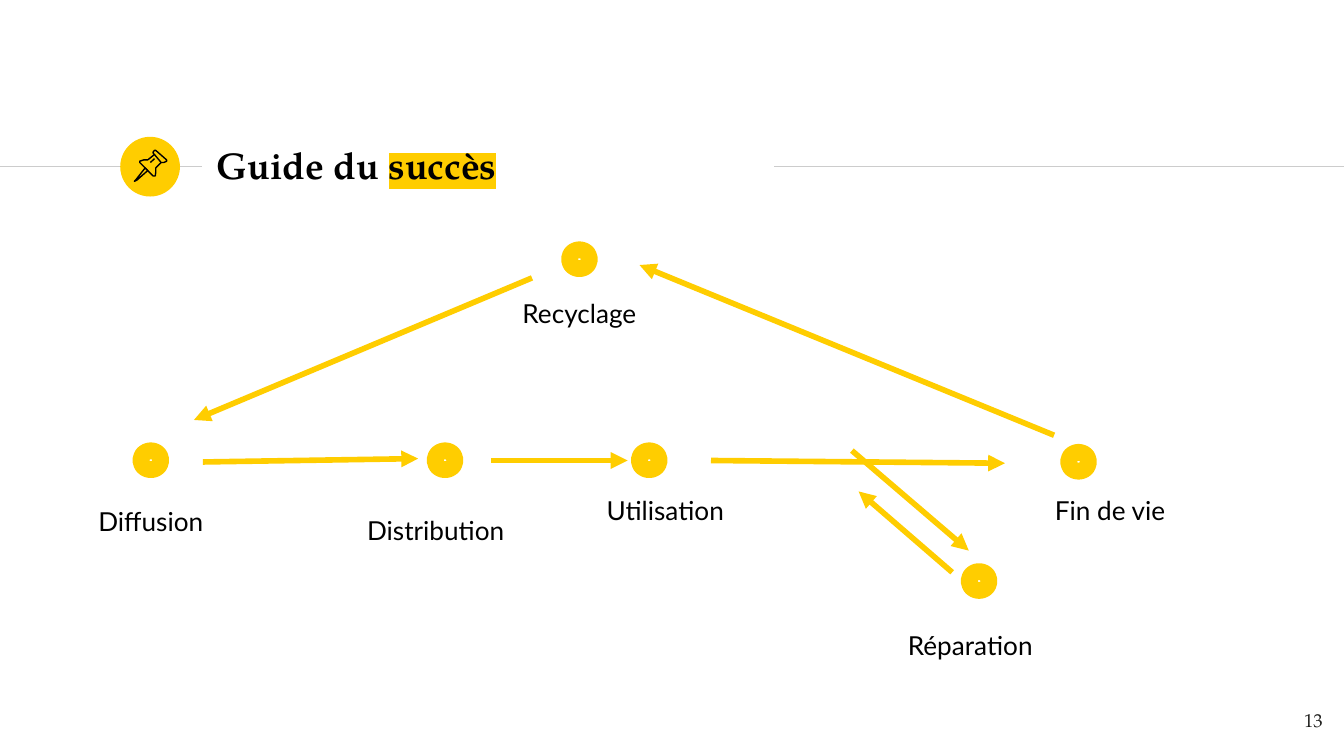
import pptx
import pptx.dml.color
import pptx.enum.shapes
import pptx.enum.text
import pptx.oxml
import pptx.oxml.ns
import pptx.util

Pt = pptx.util.Pt
RGBColor = pptx.dml.color.RGBColor
ALIGN = pptx.enum.text.PP_ALIGN
ANCHOR = pptx.enum.text.MSO_ANCHOR

YELLOW = RGBColor(0xFF, 0xCD, 0x00)
BLACK = RGBColor(0x00, 0x00, 0x00)
INK = RGBColor(0x1D, 0x1D, 0x1B)
GREY = RGBColor(0xCC, 0xCC, 0xCC)
SERIF, SANS = "TeX Gyre Pagella", "Lato"

RING_W, RING_H = 10.8, 10.1
LABEL_W, LABEL_H = 121, 31.7
RULE_Y = 89.3

# step name, ring centre, label centre x, label top
STEPS = [
    ("Diffusion", (80.8, 246.6), 80.8, 263.5),
    ("Distribution", (238.4, 246.6), 233.4, 268.4),
    ("Utilisation", (347.8, 246.6), 356.4, 257.8),
    ("Fin de vie", (577.8, 247.4), 594.7, 257.8),
    ("Réparation", (524.5, 311.3), 519.8, 329.9),
    ("Recyclage", (310.4, 138.9), 310.4, 152),
]
ARROWS = [
    ((108.7, 247.5), (224, 245.7)),    # Diffusion to Distribution
    ((263, 246.7), (336.2, 246.7)),    # Distribution to Utilisation
    ((380.9, 246.7), (538.4, 248.2)),  # Utilisation to Fin de vie
    ((564.7, 233.2), (342.6, 142)),    # Fin de vie to Recyclage
    ((285, 148.9), (103.9, 225)),      # Recyclage to Diffusion
    ((456.4, 241.4), (519, 295)),      # Utilisation to Réparation
    ((510.1, 306.6), (460, 263.3)),    # Réparation to Utilisation
]
RULES = [((0, RULE_Y), (108, RULE_Y)), ((414.7, RULE_Y), (720, RULE_Y))]

# outline points, closed
PIN = [
    ([(77.8, 90), (72.7, 96.5), (72, 97.2), (73.4, 96.5), (79.2, 91.4)], True),
    ([(82.8, 82.8), (86.4, 87.1), (87.8, 87.1), (89.3, 86.4), (89.3, 85.7),
      (83.5, 80.6), (82.8, 80.6), (82.1, 81.4), (82.1, 82.1)], True),
    ([(82.8, 82.8), (79.2, 85.7), (77, 85.7), (74.9, 86.4), (74.9, 87.1),
      (82.1, 94.3), (83.2, 94.3), (83.5, 92.2), (83.5, 90), (86.4, 87.1)], False),
    ([(80.6, 87.1), (82.8, 85)], False),
]


def add_xml(parent, tag, **attrs):
    el = pptx.oxml.parse_xml(f"<a:{tag} {pptx.oxml.ns.nsdecls('a')}/>")
    for name, value in attrs.items():
        el.set(name, value)
    parent.append(el)
    return el


def add_text(s, text, x, y, w, h, size=14, font=SANS, color=BLACK, bold=False,
             align=ALIGN.CENTER, anchor=ANCHOR.TOP, marked=""):
    """Add a text box; marked is a closing run on a yellow highlight."""
    tf = s.shapes.add_textbox(Pt(x), Pt(y), Pt(w), Pt(h)).text_frame
    tf.word_wrap = True
    tf.vertical_anchor = anchor
    tf.margin_left = tf.margin_right = tf.margin_top = tf.margin_bottom = Pt(7.2)
    p = tf.paragraphs[0]
    p.alignment = align
    for part in filter(None, (text, marked)):
        r = p.add_run()
        r.text = part
        r.font.size, r.font.bold = Pt(size), bold
        r.font.color.rgb = color
        if part == marked:
            highlight = add_xml(r.font._element, "highlight")
            add_xml(highlight, "srgbClr", val=str(YELLOW))
        r.font.name = font


def add_line(s, start, end, color, width, arrow=False):
    c = s.shapes.add_connector(pptx.enum.shapes.MSO_CONNECTOR.STRAIGHT,
                               *(Pt(v) for v in start + end))
    c.line.color.rgb = color
    c.line.width = Pt(width)
    if arrow:
        add_xml(c.line._get_or_add_ln(), "tailEnd", type="triangle")
    add_xml(c._element.spPr, "effectLst")


def add_circle(s, centre, w, h):
    x, y = centre
    sp = s.shapes.add_shape(pptx.enum.shapes.MSO_SHAPE.OVAL,
                            Pt(x - w / 2), Pt(y - h / 2), Pt(w), Pt(h))
    sp.shadow.inherit = False
    return sp


def add_outline(s, points, closed):
    points = [(Pt(x), Pt(y)) for x, y in points]
    builder = s.shapes.build_freeform(*points[0])
    builder.add_line_segments(points[1:], close=closed)
    sp = builder.convert_to_shape()
    sp.shadow.inherit = False
    sp.fill.background()
    sp.line.color.rgb = BLACK
    sp.line.width = Pt(0.75)


def main():
    prs = pptx.Presentation()
    prs.slide_width, prs.slide_height = Pt(720), Pt(405)
    s = prs.slides.add_slide(prs.slide_layouts[6])

    for start, end in RULES:
        add_line(s, start, end, GREY, 0.75)
    badge = add_circle(s, (80.4, RULE_Y), 32, 32)
    badge.fill.solid()
    badge.fill.fore_color.rgb = YELLOW
    badge.line.fill.background()
    for points, closed in PIN:
        add_outline(s, points, closed)
    add_text(s, "Guide du ", 108.7, 70.9, 305.3, 34.6, size=20, font=SERIF,
             bold=True, align=ALIGN.LEFT, anchor=ANCHOR.MIDDLE, marked="succès")

    for start, end in ARROWS:
        add_line(s, start, end, YELLOW, 3, arrow=True)
    for name, centre, label_x, label_y in STEPS:
        ring = add_circle(s, centre, RING_W, RING_H)
        ring.fill.background()
        ring.line.color.rgb = YELLOW
        ring.line.width = Pt(9)
        add_text(s, name, label_x - LABEL_W / 2, label_y, LABEL_W, LABEL_H)

    add_text(s, "13", 672.5, 373.7, 43.2, 31, size=10, font=SERIF, color=INK,
             align=ALIGN.RIGHT)
    prs.save("out.pptx")


if __name__ == "__main__":
    main()
